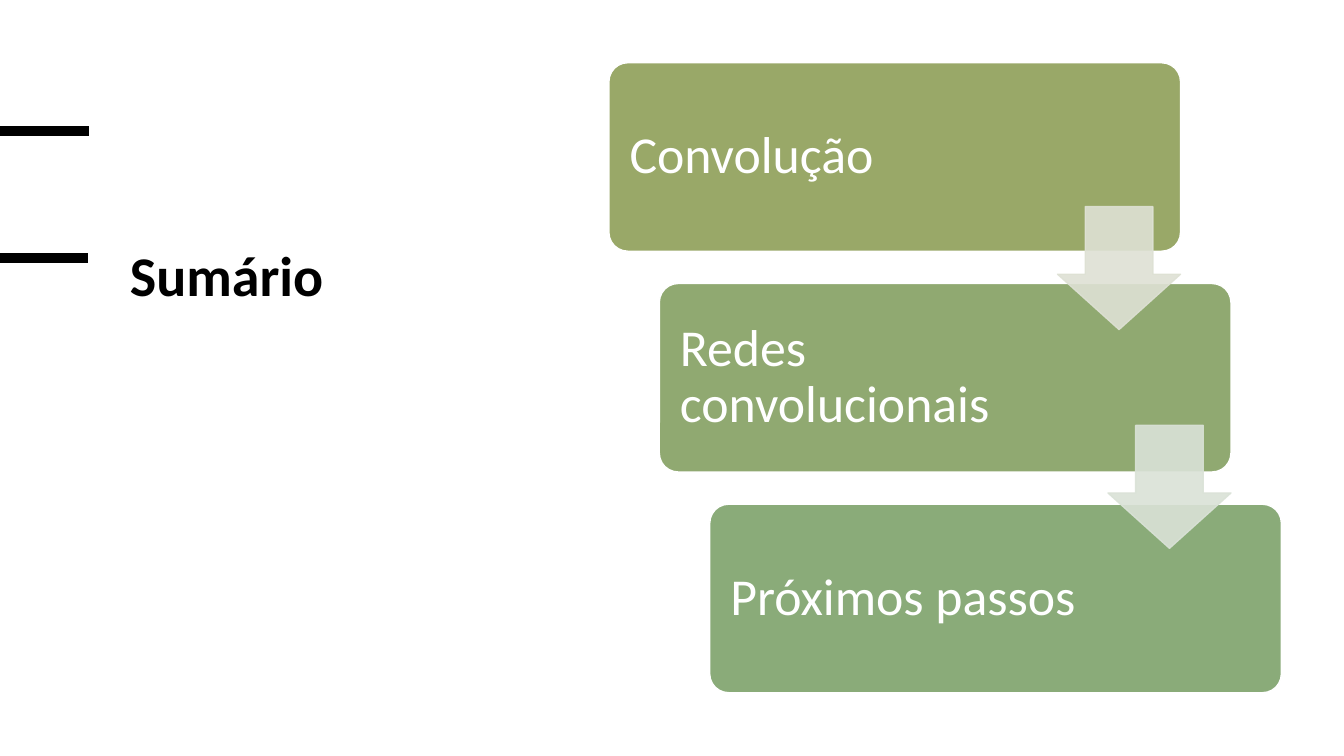
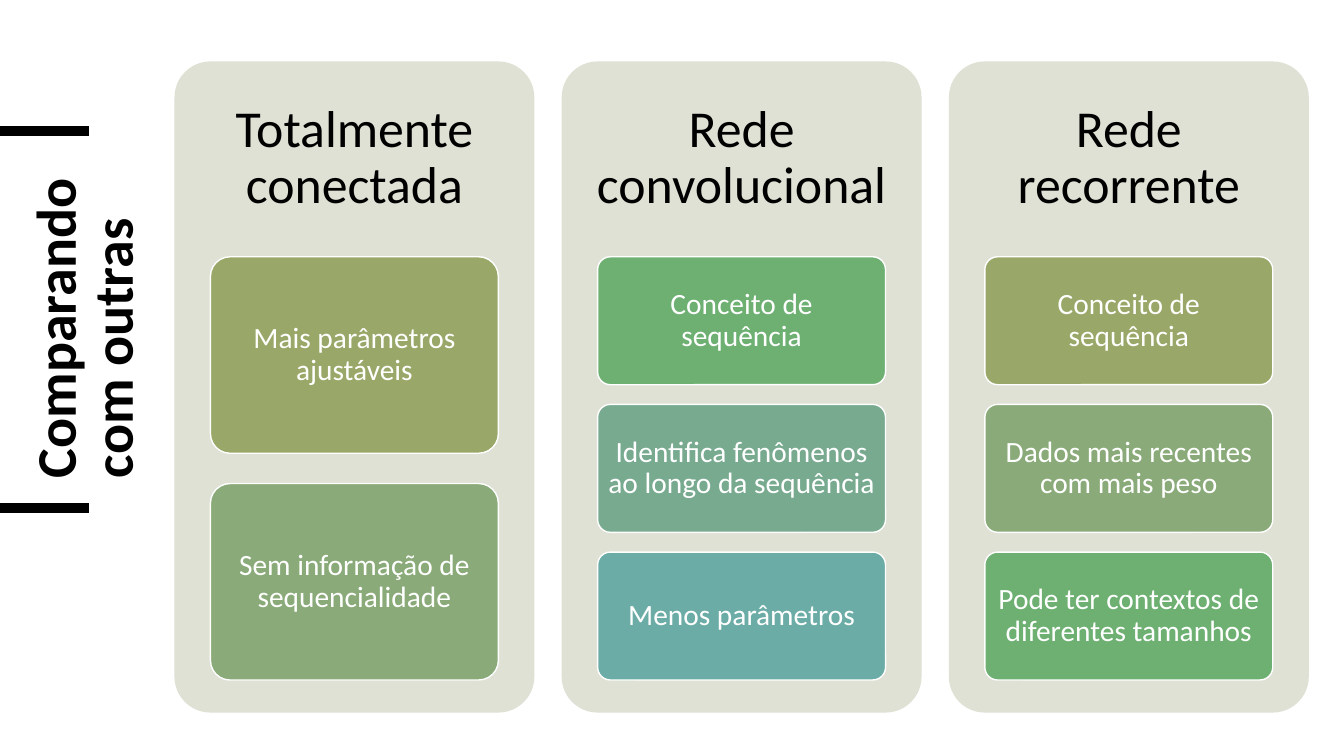
from dataclasses import dataclass

import lxml.etree
import pptx
import pptx.dml.color
import pptx.enum.shapes
import pptx.enum.text
import pptx.oxml.ns
import pptx.util

WIDE, HIGH = 13.33, 7.5
FONT = "Calibri"
HUES = {
    "black": "000000", "white": "FFFFFF", "panel": "DEE1D4", "mist": "DAE2D7",
    "olive": "99A868", "moss": "90A971", "sage": "8AAB79",
    "green": "6DB072", "jade": "78AA90", "teal": "6BACA6",
}
GAP = 2 / 13
KIND = pptx.enum.shapes.MSO_SHAPE
ALIGN = pptx.enum.text.PP_ALIGN
ANCHOR = pptx.enum.text.MSO_ANCHOR


@dataclass(frozen=True)
class Box:
    """Place and size in percent of the slide."""
    left: float
    top: float
    wide: float
    high: float

    def move(self, right: float, down: float) -> "Box":
        return Box(self.left + right, self.top + down, self.wide, self.high)

    def inner(self, left: float, top: float, wide: float, high: float) -> "Box":
        return Box(self.left + left * self.wide, self.top + top * self.high,
                   wide * self.wide, high * self.high)

    def frame(self) -> tuple:
        return across(self.left), down(self.top), across(self.wide), down(self.high)


@dataclass(frozen=True)
class Style:
    size: float
    hue: str = "white"
    bold: bool = False
    align: ALIGN = ALIGN.LEFT
    anchor: ANCHOR = ANCHOR.MIDDLE
    space: float = 0.9
    pads: tuple = (0.15, 0.15, 0.15, 0.15)


@dataclass(frozen=True)
class Card:
    text: str
    hue: str


@dataclass(frozen=True)
class Panel:
    head: str
    cards: tuple


TITLE = Style(40, "black", True, anchor=ANCHOR.TOP, space=0.85,
              pads=(0.1, 0.05, 0.1, 0.05))
STEP = Style(37, pads=(0.15, 0.15, 1.87, 0.15))
HEAD = Style(37, "black", align=ALIGN.CENTER)
ITEM = Style(21, align=ALIGN.CENTER, pads=(0.06, 0.04, 0.06, 0.04))

STEPS = (
    Card("Convolução", "olive"),
    Card("Redes convolucionais", "moss"),
    Card("Próximos passos", "sage"),
)
PANELS = (
    Panel("Totalmente conectada", (
        Card("Mais parâmetros ajustáveis", "olive"),
        Card("Sem informação de sequencialidade", "sage"))),
    Panel("Rede convolucional", (
        Card("Conceito de sequência", "green"),
        Card("Identifica fenômenos ao longo da sequência", "jade"),
        Card("Menos parâmetros", "teal"))),
    Panel("Rede recorrente", (
        Card("Conceito de sequência", "olive"),
        Card("Dados mais recentes com mais peso", "sage"),
        Card("Pode ter contextos de diferentes tamanhos", "green"))),
)


def across(share: float) -> int:
    return pptx.util.Inches(WIDE * share / 100)


def down(share: float) -> int:
    return pptx.util.Inches(HIGH * share / 100)


def tint(name: str) -> pptx.dml.color.RGBColor:
    return pptx.dml.color.RGBColor.from_string(HUES[name])


def write(shape, text: str, style: Style) -> None:
    frame = shape.text_frame
    frame.word_wrap = True
    frame.vertical_anchor = style.anchor
    (frame.margin_left, frame.margin_top, frame.margin_right,
     frame.margin_bottom) = map(pptx.util.Inches, style.pads)
    para = frame.paragraphs[0]
    para.alignment = style.align
    para.line_spacing = style.space
    run = para.add_run()
    run.text = text
    run.font.name = FONT
    run.font.size = pptx.util.Pt(style.size)
    run.font.bold = style.bold
    run.font.color.rgb = tint(style.hue)


def label(slide, box: Box, text: str, style: Style, turn: float = 0) -> None:
    shape = slide.shapes.add_textbox(*box.frame())
    shape.rotation = turn
    write(shape, text, style)


def draw(slide, kind: KIND, box: Box, hue: str, edge: str = "",
         bends: tuple = (0.1,)):
    shape = slide.shapes.add_shape(kind, *box.frame())
    shape.shadow.inherit = False
    for spot, bend in enumerate(bends):
        shape.adjustments[spot] = bend
    shape.fill.solid()
    shape.fill.fore_color.rgb = tint(hue)
    if edge:
        shape.line.color.rgb = tint(edge)
        shape.line.width = pptx.util.Pt(1)
    else:
        shape.line.fill.background()
    return shape


def card(slide, box: Box, item: Card, style: Style) -> None:
    shape = draw(slide, KIND.ROUNDED_RECTANGLE, box, item.hue, "white")
    write(shape, item.text, style)


def arrow(slide, box: Box, hue: str) -> None:
    shape = draw(slide, KIND.DOWN_ARROW, box, hue, hue, (0.55, 0.45))
    name = pptx.oxml.ns.qn
    for color in list(shape.element.spPr.iter(name("a:srgbClr"))):
        lxml.etree.SubElement(color, name("a:alpha")).set("val", "90000")


def bar(slide, top: float, end: float = 6.6, thick: float = 6.75) -> None:
    line = slide.shapes.add_connector(
        pptx.enum.shapes.MSO_CONNECTOR.STRAIGHT,
        0, down(top), across(end), down(top))
    line.line.color.rgb = tint("black")
    line.line.width = pptx.util.Pt(thick)
    lxml.etree.SubElement(line.element.spPr, pptx.oxml.ns.qn("a:effectLst"))


def start(deck, title: str, box: Box, turn: float = 0):
    slide = deck.slides.add_slide(deck.slide_layouts[6])
    bar(slide, 17.33)
    label(slide, box, title, TITLE, turn)
    return slide


def agenda(deck) -> None:
    slide = start(deck, "Sumário", Box(8.93, 32.53, 31.2, 48.93))
    bar(slide, 34.13, 6.53)
    first = Box(45.31, 8.3, 42.53, 24.93)
    for spot, item in enumerate(STEPS):
        card(slide, first.move(3.75 * spot, 29.2 * spot), item, STEP)
    point = Box(78.69, 27.33, 9.15, 16.27)
    for spot, hue in enumerate(("panel", "mist")):
        arrow(slide, point.move(3.75 * spot, 28.93 * spot), hue)


def compare(deck) -> None:
    slide = start(deck, "Comparando com outras",
                  Box(-6.3, 23.87, 31.06, 26.13), 270)
    bar(slide, 67.2, thick=6.5)
    first = Box(12.98, 8.13, 26.78, 86.13)
    for col, panel in enumerate(PANELS):
        box = first.move(28.81 * col, 0)
        draw(slide, KIND.ROUNDED_RECTANGLE, box, "panel")
        label(slide, box.inner(0, 0, 1, 0.3), panel.head, HEAD)
        count = len(panel.cards)
        tall = 0.65 / (count + GAP * (count - 1))
        for row, item in enumerate(panel.cards):
            top = 0.3 + row * tall * (1 + GAP)
            card(slide, box.inner(0.1, top, 0.8, tall), item, ITEM)


def main() -> None:
    deck = pptx.Presentation()
    deck.slide_width, deck.slide_height = across(100), down(100)
    agenda(deck)
    compare(deck)
    deck.save("out.pptx")


if __name__ == "__main__":
    main()
